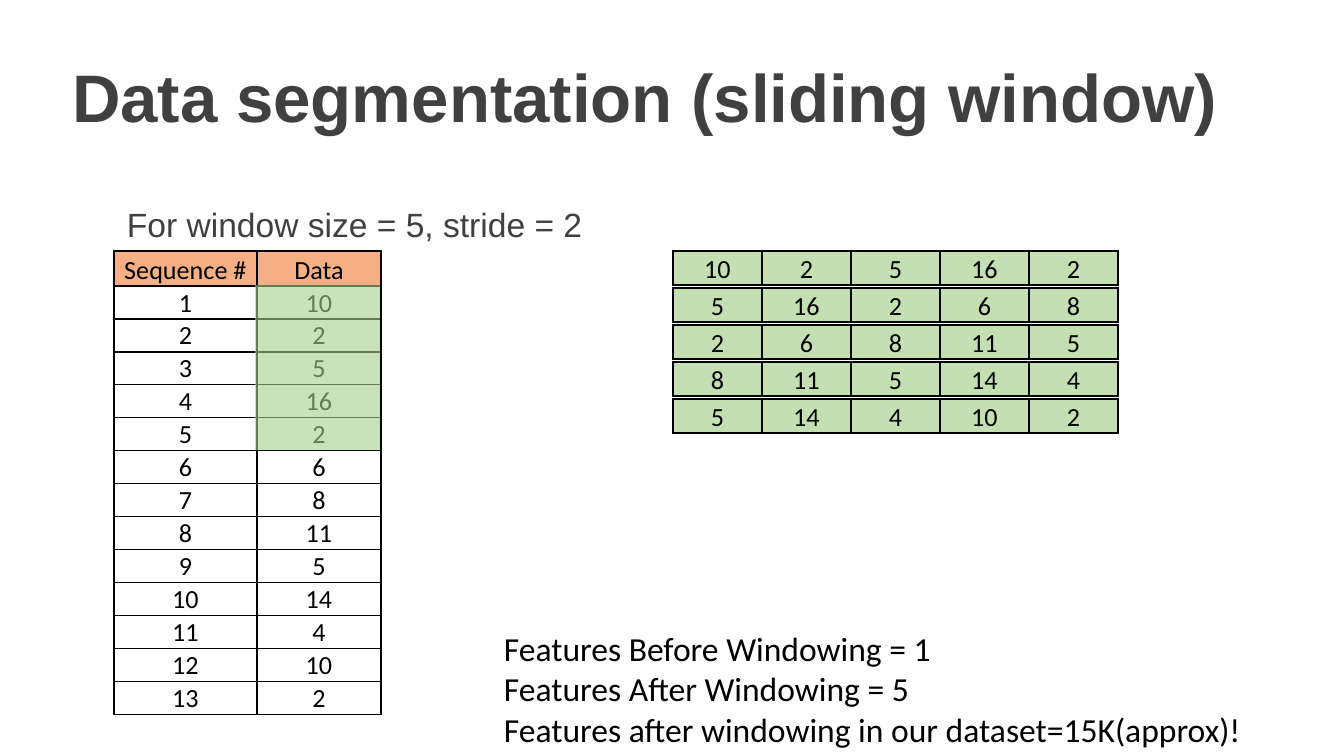
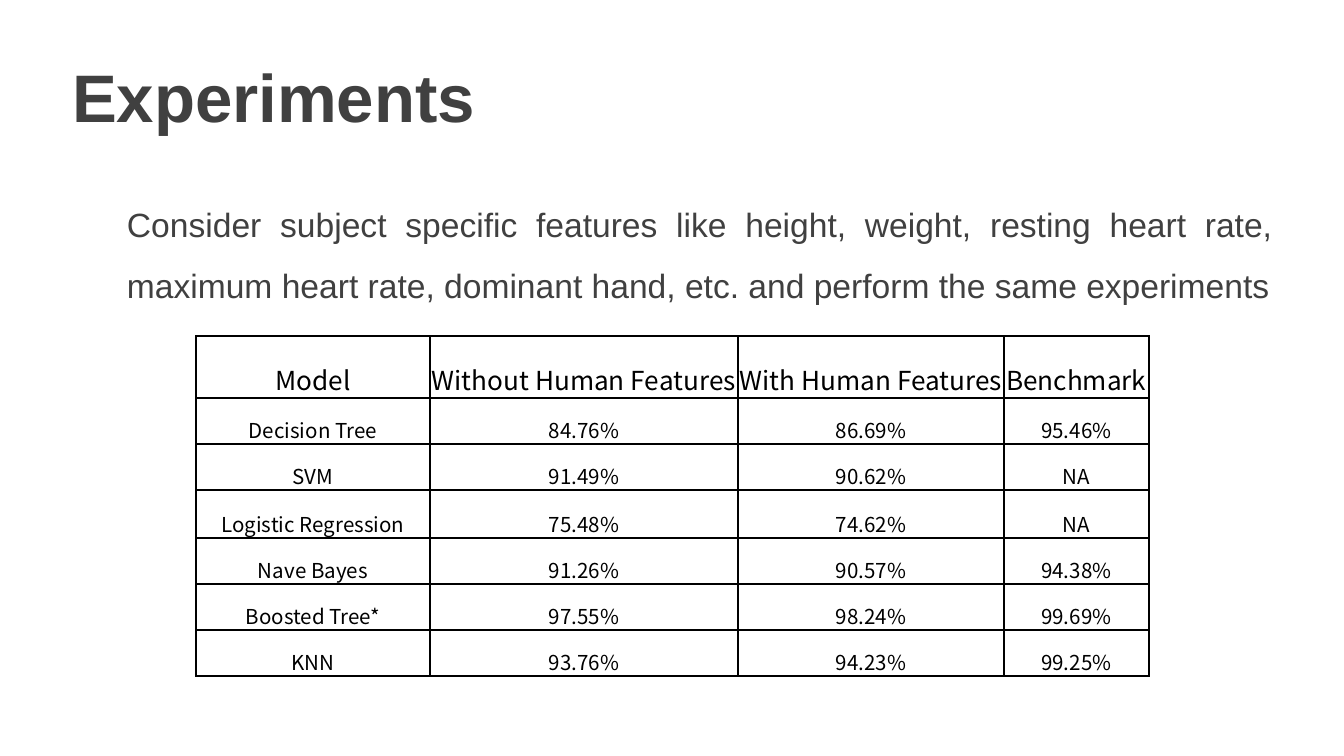
import lxml.etree
import pptx
import pptx.dml.color
import pptx.enum.shapes
import pptx.enum.text
import pptx.oxml.ns
import pptx.util

PX = 6804  # EMU per px, 134.4 px to the inch
INK = pptx.dml.color.RGBColor(0x40, 0x40, 0x40)
BLACK = pptx.dml.color.RGBColor(0x00, 0x00, 0x00)
ORANGE = pptx.dml.color.RGBColor(0xF4, 0xB0, 0x84)
PALE_GREEN = pptx.dml.color.RGBColor(0xC4, 0xE0, 0xB2)
GREEN = pptx.dml.color.RGBColor(0xA8, 0xD0, 0x8C)
ALIGN = pptx.enum.text.PP_ALIGN
ANCHOR = pptx.enum.text.MSO_ANCHOR
qn = pptx.oxml.ns.qn

TITLE_BOX = (59, 31, 1285, 130)
BODY_INDENT = 58


def add_text(slide, box, lines, font, size, color, bold=False, indent=13):
    left, top, width, height = (length * PX for length in box)
    frame = slide.shapes.add_textbox(left, top, width, height).text_frame
    frame.word_wrap = True
    frame.margin_left, frame.margin_right = indent * PX, 13 * PX
    frame.margin_top = frame.margin_bottom = 7 * PX
    frame.text = "\n".join(lines)
    for paragraph in frame.paragraphs:
        run_font = paragraph.runs[0].font
        run_font.name, run_font.size = font, pptx.util.Pt(size)
        run_font.bold, run_font.color.rgb = bold, color
    return frame


def add_grid(slide, left, top, widths, heights, rows, font, sizes, border,
             header_fill=None):
    """Add a bordered table; sizes gives the header and body text sizes."""
    table = slide.shapes.add_table(
        len(rows), len(widths), left * PX, top * PX,
        sum(widths) * PX, sum(heights) * PX).table
    table.first_row = table.horz_banding = False
    for column, width in zip(table.columns, widths):
        column.width = width * PX
    for row, height in zip(table.rows, heights):
        row.height = height * PX
    for r, values in enumerate(rows):
        for c, value in enumerate(values):
            cell = table.cell(r, c)
            cell.margin_left = cell.margin_right = cell.margin_top = PX
            cell.margin_bottom = 0
            cell.vertical_anchor = ANCHOR.BOTTOM
            cell.text_frame.text = str(value)
            paragraph = cell.text_frame.paragraphs[0]
            paragraph.alignment = ALIGN.CENTER
            run_font = paragraph.runs[0].font
            run_font.name = font
            run_font.size = pptx.util.Pt(sizes[min(r, 1)])
            run_font.color.rgb = BLACK
            if r == 0 and header_fill is not None:
                cell.fill.solid()
                cell.fill.fore_color.rgb = header_fill
            else:
                cell.fill.background()
            properties = cell._tc.get_or_add_tcPr()
            for position, side in enumerate(("lnL", "lnR", "lnT", "lnB")):
                line = lxml.etree.Element(
                    qn("a:" + side), w=str(pptx.util.Pt(border)))
                fill = lxml.etree.SubElement(line, qn("a:solidFill"))
                lxml.etree.SubElement(fill, qn("a:srgbClr"), val=str(BLACK))
                properties.insert(position, line)


deck = pptx.Presentation()
deck.slide_width, deck.slide_height = 1344 * PX, 756 * PX
blank = deck.slide_layouts[6]

slides = []
for title, subject, body_height in (
    ("Data segmentation (sliding window)",
     "For window size = 5, stride = 2", 74),
    ("Experiments",
     "Consider subject specific features like height, weight, resting heart "
     "rate, maximum heart rate, dominant hand, etc. and perform the same "
     "experiments", 445),
):
    slide = deck.slides.add_slide(blank)
    body = add_text(slide, (69, 177, 1217, body_height), [subject],
                    "Arial", 18, INK, indent=BODY_INDENT)
    body.paragraphs[0].line_spacing = 1.5
    body.paragraphs[0].space_before = pptx.util.Pt(3.6)
    heading = add_text(slide, TITLE_BOX, [title], "Arial", 36, INK, bold=True)
    heading.vertical_anchor = ANCHOR.MIDDLE
    slides.append(slide)
    body.paragraphs[0].alignment = (
        ALIGN.JUSTIFY if title == "Experiments" else ALIGN.LEFT)
segmentation, experiments = slides

# Slide 1: the sequence and the windows cut from it
WINDOW_SIZE, STRIDE = 5, 2
sequence = [10, 2, 5, 16, 2, 6, 8, 11, 5, 14, 4, 10, 2]
add_grid(segmentation, 114, 251, [143, 124], [35] + [33] * len(sequence),
         [("Sequence #", "Data"), *enumerate(sequence, 1)],
         "Calibri", (14, 14), 0.75, ORANGE)

first_window = segmentation.shapes.add_shape(
    pptx.enum.shapes.MSO_SHAPE.RECTANGLE,
    255 * PX, 285 * PX, 125 * PX, 165 * PX)
first_window.shadow.inherit = False
first_window.line.fill.background()
first_window.fill.solid()
first_window.fill.fore_color.rgb = GREEN
tint = first_window._element.spPr.find(".//" + qn("a:srgbClr"))
lxml.etree.SubElement(tint, qn("a:alpha"), val="60000")

starts = range(0, len(sequence) - WINDOW_SIZE + 1, STRIDE)
for index, start in enumerate(starts):
    add_grid(segmentation, 673, 251 + 37 * index, [89] * WINDOW_SIZE, [34],
             [sequence[start:start + WINDOW_SIZE]],
             "Calibri", (14, 14), 0.75, PALE_GREEN)

add_text(segmentation, (491, 621, 789, 136),
         ["Features Before Windowing = 1",
          "Features After Windowing = 5",
          "Features after windowing in our dataset=15K(approx)!"],
         "Calibri", 18, BLACK)

# Slide 2: accuracy of each model
accuracies = [
    ("Model", "Without Human Features", "With Human Features", "Benchmark"),
    ("Decision Tree", "84.76%", "86.69%", "95.46%"),
    ("SVM", "91.49%", "90.62%", "NA"),
    ("Logistic Regression", "75.48%", "74.62%", "NA"),
    ("Nave Bayes", "91.26%", "90.57%", "94.38%"),
    ("Boosted Tree*", "97.55%", "98.24%", "99.69%"),
    ("KNN", "93.76%", "94.23%", "99.25%"),
]
add_grid(experiments, 196, 336, [234, 308, 266, 145],
         [62, 46, 46, 48, 46, 46, 46], accuracies,
         "Noto Sans CJK KR", (14, 11), 1)

deck.save("out.pptx")
